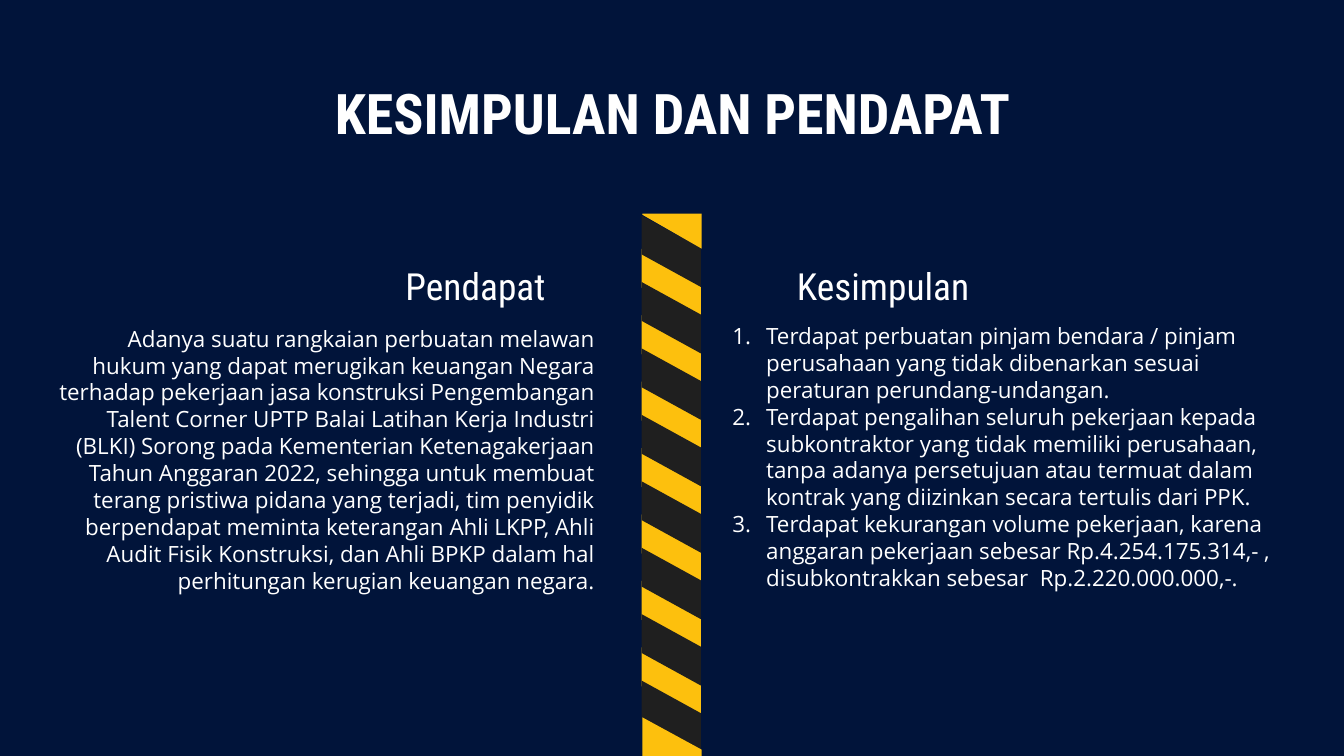
"""Build the conclusion and opinion slide with a hazard-tape divider."""
from lxml import etree
from pptx import Presentation
from pptx.dml.color import RGBColor
from pptx.enum.shapes import MSO_SHAPE
from pptx.enum.text import MSO_ANCHOR, MSO_AUTO_SIZE, PP_ALIGN
from pptx.oxml.ns import qn
from pptx.util import Cm, Pt

LEFT, CENTER, RIGHT = PP_ALIGN.LEFT, PP_ALIGN.CENTER, PP_ALIGN.RIGHT
TOP, BOTTOM = MSO_ANCHOR.TOP, MSO_ANCHOR.BOTTOM
NO_AUTOFIT = MSO_AUTO_SIZE.NONE
PARALLELOGRAM = MSO_SHAPE.PARALLELOGRAM

NAVY = RGBColor(0x01, 0x14, 0x3A)
WHITE = RGBColor(0xFF, 0xFF, 0xFF)
YELLOW = RGBColor(0xFD, 0xC0, 0x0D)
BLACK = RGBColor(0x1F, 0x1F, 0x1F)
HEADING_FONT, BODY_FONT = "Roboto Condensed", "Open Sans"
COMPARISON_LAYOUT = 4

TITLE = "KESIMPULAN DAN PENDAPAT"
OPINION = (
    "Adanya suatu rangkaian perbuatan melawan hukum yang dapat merugikan "
    "keuangan Negara terhadap pekerjaan jasa konstruksi Pengembangan Talent "
    "Corner UPTP Balai Latihan Kerja Industri (BLKI) Sorong pada Kementerian "
    "Ketenagakerjaan Tahun Anggaran 2022, sehingga untuk membuat terang "
    "pristiwa pidana yang terjadi, tim penyidik berpendapat meminta "
    "keterangan Ahli LKPP, Ahli Audit Fisik Konstruksi, dan Ahli BPKP dalam "
    "hal perhitungan kerugian keuangan negara."
)
CONCLUSIONS = [
    "Terdapat perbuatan pinjam bendara / pinjam perusahaan yang tidak "
    "dibenarkan sesuai peraturan perundang-undangan.",
    "Terdapat pengalihan seluruh pekerjaan kepada subkontraktor yang tidak "
    "memiliki perusahaan, tanpa adanya persetujuan atau termuat dalam kontrak "
    "yang diizinkan secara tertulis dari PPK.",
    "Terdapat kekurangan volume pekerjaan, karena anggaran pekerjaan sebesar "
    "Rp.4.254.175.314,- , disubkontrakkan sebesar  Rp.2.220.000.000,-.",
]

HEADING_STYLE = dict(font=HEADING_FONT, size=20, anchor=BOTTOM)
BODY_STYLE = dict(font=BODY_FONT, size=12, spacing=Pt(14.4))
TEXTS = [
    (0, [TITLE], (2.01, 1.24, 21.41, 1.6),
     dict(font=HEADING_FONT, size=30, align=CENTER, bold=True)),
    (1, ["Pendapat"], (3.12, 4.52, 7.44, 1.55), dict(HEADING_STYLE, align=RIGHT)),
    (2, [OPINION], (0.86, 5.89, 10.64, 6.4), dict(BODY_STYLE, align=RIGHT)),
    (3, ["Kesimpulan"], (14.81, 4.52, 7.44, 1.55), HEADING_STYLE),
    (4, CONCLUSIONS, (13.59, 5.84, 10.95, 6.65), dict(BODY_STYLE, numbered=True)),
]

TAPE_LEFT, TAPE_RIGHT = 12.14, 13.26
TAPE_TOP, TAPE_BOTTOM = 4.04, 14.29
STRIPE_LEFT, STRIPE_WIDTH, STRIPE_HEIGHT = 12.01, 1.35, 1.12
STRIPE_SLANT = 0.55
STRIPE_COUNT, FIRST_STRIPE, LAST_STRIPE = 15, 4.19, 12.98
TAPE_ENDS = [
    [(TAPE_LEFT, 13.56), (TAPE_LEFT, TAPE_BOTTOM),
     (TAPE_RIGHT, TAPE_BOTTOM), (TAPE_RIGHT, 14.17)],
    [(TAPE_LEFT, TAPE_TOP), (TAPE_LEFT, 4.06),
     (TAPE_RIGHT, 4.7), (TAPE_RIGHT, TAPE_TOP)],
]


def set_list_format(paragraph, numbered):
    properties = paragraph._p.get_or_add_pPr()
    indent = Cm(0.64) if numbered else 0
    properties.set("marL", str(indent))
    properties.set("indent", str(-indent))
    if numbered:
        color = etree.SubElement(properties, qn("a:buClr"))
        etree.SubElement(color, qn("a:srgbClr"), val=str(WHITE))
        etree.SubElement(properties, qn("a:buAutoNum"), type="arabicPeriod")
    else:
        etree.SubElement(properties, qn("a:buNone"))


def fill_placeholder(placeholder, lines, box, font, size, align=LEFT,
                     anchor=TOP, bold=False, spacing=1.0, numbered=False):
    placeholder.left, placeholder.top, placeholder.width, placeholder.height = map(Cm, box)
    frame = placeholder.text_frame
    frame.text = "\n".join(lines)
    frame.word_wrap = True
    frame.auto_size = NO_AUTOFIT
    frame.vertical_anchor = anchor
    frame.margin_left = frame.margin_right = Cm(0.25)
    frame.margin_top = frame.margin_bottom = Cm(0.25)
    for paragraph in frame.paragraphs:
        set_list_format(paragraph, numbered)
        paragraph.alignment = align
        paragraph.space_before = paragraph.space_after = Pt(0)
        paragraph.line_spacing = spacing
        for run in paragraph.runs:
            run.font.name = font
            run.font.size = Pt(size)
            run.font.bold = bold
            run.font.color.rgb = WHITE


def paint(shape, color):
    shape.shadow.inherit = False
    shape.fill.solid()
    shape.fill.fore_color.rgb = color
    shape.line.fill.background()


def add_tape(slide):
    tape = slide.shapes.add_group_shape().shapes
    step = (LAST_STRIPE - FIRST_STRIPE) / (STRIPE_COUNT - 1)
    for first, color in ((1, YELLOW), (0, BLACK)):
        for index in range(first, STRIPE_COUNT, 2):
            stripe = tape.add_shape(
                PARALLELOGRAM, Cm(STRIPE_LEFT), Cm(FIRST_STRIPE + index * step),
                Cm(STRIPE_WIDTH), Cm(STRIPE_HEIGHT))
            stripe.rotation = 90
            stripe.adjustments[0] = STRIPE_SLANT
            paint(stripe, color)
    for corners in TAPE_ENDS:
        start, *others = [(Cm(x), Cm(y)) for x, y in corners]
        outline = tape.build_freeform(*start)
        outline.add_line_segments(others)
        paint(outline.convert_to_shape(), YELLOW)


def main():
    presentation = Presentation()
    presentation.slide_width, presentation.slide_height = Cm(25.4), Cm(14.29)
    slide = presentation.slides.add_slide(presentation.slide_layouts[COMPARISON_LAYOUT])
    slide.background.fill.solid()
    slide.background.fill.fore_color.rgb = NAVY
    placeholders = {item.placeholder_format.idx: item for item in slide.placeholders}
    for idx, lines, box, style in TEXTS:
        fill_placeholder(placeholders[idx], lines, box, **style)
    add_tape(slide)
    presentation.save("out.pptx")


if __name__ == "__main__":
    main()
